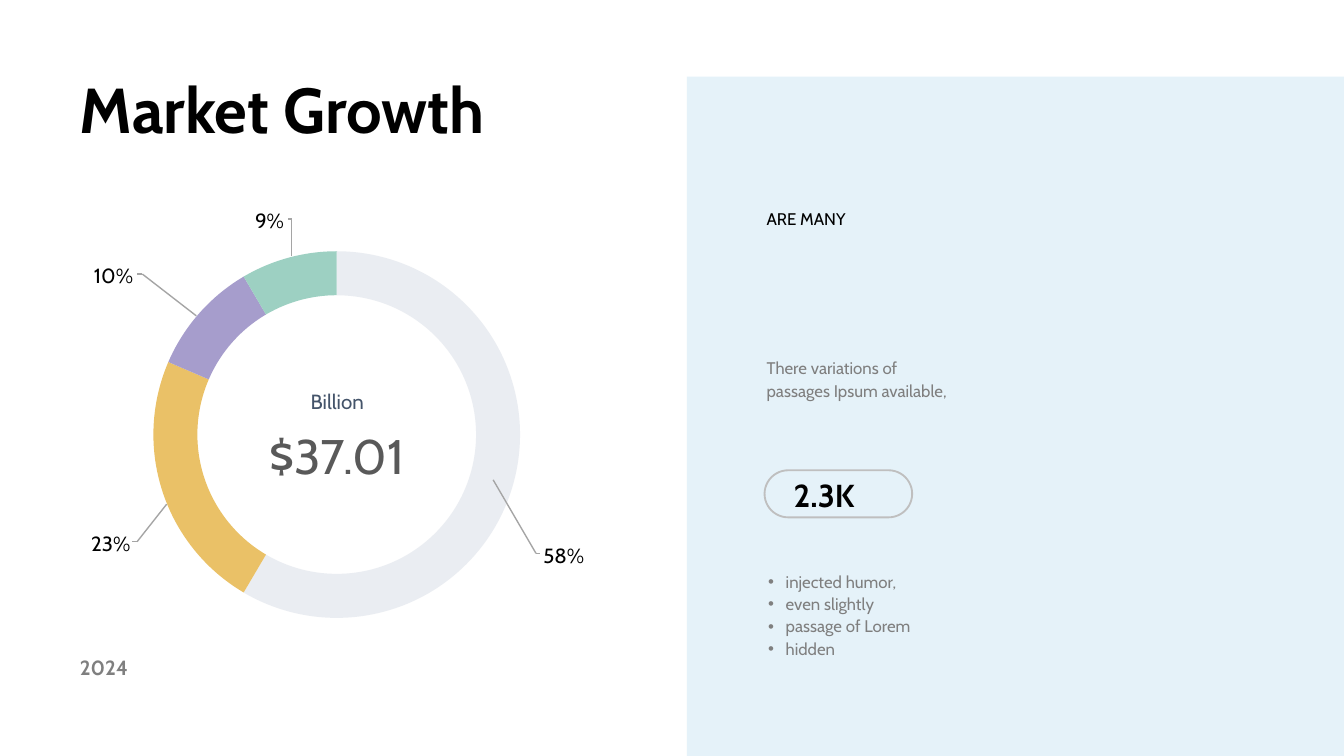
from pptx import Presentation
from pptx.dml.color import RGBColor
from pptx.enum.shapes import MSO_CONNECTOR, MSO_SHAPE
from pptx.enum.text import MSO_ANCHOR, PP_ALIGN as Align
from pptx.oxml.ns import qn
from pptx.util import Cm, Pt
from lxml.etree import SubElement

COLORS = {
    "black": "000000", "amount": "595959", "unit": "44546A", "gray": "7F7F7F",
    "leader": "A5A5A5", "outline": "BFBFBF", "panel": "DAECF7",
    "pale": "D5DBE5", "yellow": "EAC167", "purple": "A69DCC", "green": "9DD0C2",
}
INSETS = {"margin_left": Cm(0.19), "margin_right": Cm(0.19),
          "margin_top": Cm(0.1), "margin_bottom": Cm(0.1),
          "word_wrap": True, "vertical_anchor": MSO_ANCHOR.TOP}


def write(shape, lines, size, color="black", bold=False, align=Align.LEFT,
          spacing=1.0, bullet=False):
    frame = shape.text_frame
    for name, value in INSETS.items():
        setattr(frame, name, value)
    frame.text = "\n".join(lines)
    for paragraph in frame.paragraphs:
        paragraph.alignment = align
        paragraph.line_spacing = spacing
        if bullet:
            properties = paragraph._p.get_or_add_pPr()
            properties.set("marL", str(Cm(0.36)))
            properties.set("indent", str(Cm(-0.33)))
            SubElement(properties, qn("a:buFont"), typeface="Arial")
            SubElement(properties, qn("a:buChar"), char="•")
        font = paragraph.runs[0].font
        for name, value in {"name": "Cabin", "size": Pt(size), "bold": bold}.items():
            setattr(font, name, value)
        font.color.rgb = RGBColor.from_string(COLORS[color])


def add_filled(kind, box, color, opacity=100):
    shape = slide.shapes.add_shape(kind, *map(Cm, box))
    shape.shadow.inherit = False
    shape.line.fill.background()
    shape.fill.solid()
    shape.fill.fore_color.rgb = RGBColor.from_string(COLORS[color])
    if opacity < 100:
        tone = shape.fill._xPr.find(qn("a:solidFill"))[0]
        SubElement(tone, qn("a:alpha"), val=str(opacity * 1000))
    return shape


presentation = Presentation()
presentation.slide_width = Cm(25.4)
presentation.slide_height = Cm(14.29)
slide = presentation.slides.add_slide(presentation.slide_layouts[5])

add_filled(MSO_SHAPE.RECTANGLE, (12.98, 1.45, 12.42, 12.84), "panel", 68)

title = slide.shapes.title
title.left, title.top, title.width, title.height = map(Cm, (1.32, 1.22, 18.11, 1.65))
write(title, ["Market Growth"], 34, bold=True)

# Ring: each slice starts at the angle where the one before it ends
start = 270
for end, color, opacity in [(120.5, "pale", 48), (203.3, "yellow", 100),
                            (239.5, "purple", 100), (270, "green", 100)]:
    arc = add_filled(MSO_SHAPE.BLOCK_ARC, (2.9, 4.75, 6.93, 6.93), color, opacity)
    for index, value in enumerate((start * 0.6, end * 0.6, 0.12)):
        arc.adjustments[index] = value
    start = end

# Leader lines: slice, elbow, label
for points in [
    [(9.32, 9.07), (10.13, 10.46), (10.21, 10.46)],
    [(3.15, 9.53), (2.59, 10.24), (2.49, 10.24)],
    [(3.71, 5.97), (2.69, 5.18), (2.59, 5.18)],
    [(5.51, 4.83), (5.51, 4.14), (5.44, 4.14)],
]:
    for begin, finish in zip(points, points[1:]):
        leader = slide.shapes.add_connector(
            MSO_CONNECTOR.STRAIGHT, *map(Cm, begin + finish))
        leader.line.width = Pt(0.75)
        leader.line.color.rgb = RGBColor.from_string(COLORS["leader"])
        SubElement(leader._element.spPr, qn("a:effectLst"))

pill = slide.shapes.add_shape(
    MSO_SHAPE.ROUNDED_RECTANGLE, Cm(14.45), Cm(8.89), Cm(2.79), Cm(0.89))
pill.adjustments[0] = 0.5
pill.shadow.inherit = False
pill.fill.background()
pill.line.width = Pt(1)
pill.line.color.rgb = RGBColor.from_string(COLORS["outline"])

center = {"align": Align.CENTER}
body = {"color": "gray", "spacing": 1.1}
for box, lines, size, style in [
    ((9.98, 10.16, 1.35, 0.64), ["58%"], 11, center),
    ((1.42, 9.93, 1.35, 0.64), ["23%"], 11, center),
    ((1.47, 4.88, 1.35, 0.64), ["10%"], 11, center),
    ((4.42, 3.84, 1.35, 0.64), ["9%"], 11, center),
    ((5.18, 7.26, 2.39, 0.64), ["Billion"], 11, {**center, "color": "unit"}),
    ((4.62, 7.95, 3.5, 1.19), ["$37.01"], 26, {**center, "color": "amount"}),
    ((1.32, 12.29, 6.02, 0.64), ["2024"], 11, {"color": "gray", "bold": True}),
    ((14.3, 3.84, 3.68, 0.58), ["ARE MANY"], 9, {}),
    ((14.3, 6.63, 4.09, 1.42),
     ["There variations of passages Ipsum available,"], 9, body),
    ((14.81, 8.89, 2.29, 0.89), ["2.3K"], 17, {"bold": True}),
    ((14.3, 10.67, 3.38, 1.85),
     ["injected humor,", "even slightly", "passage of Lorem", "hidden"], 9,
     {**body, "bullet": True}),
]:
    write(slide.shapes.add_textbox(*map(Cm, box)), lines, size, **style)

presentation.save("out.pptx")
